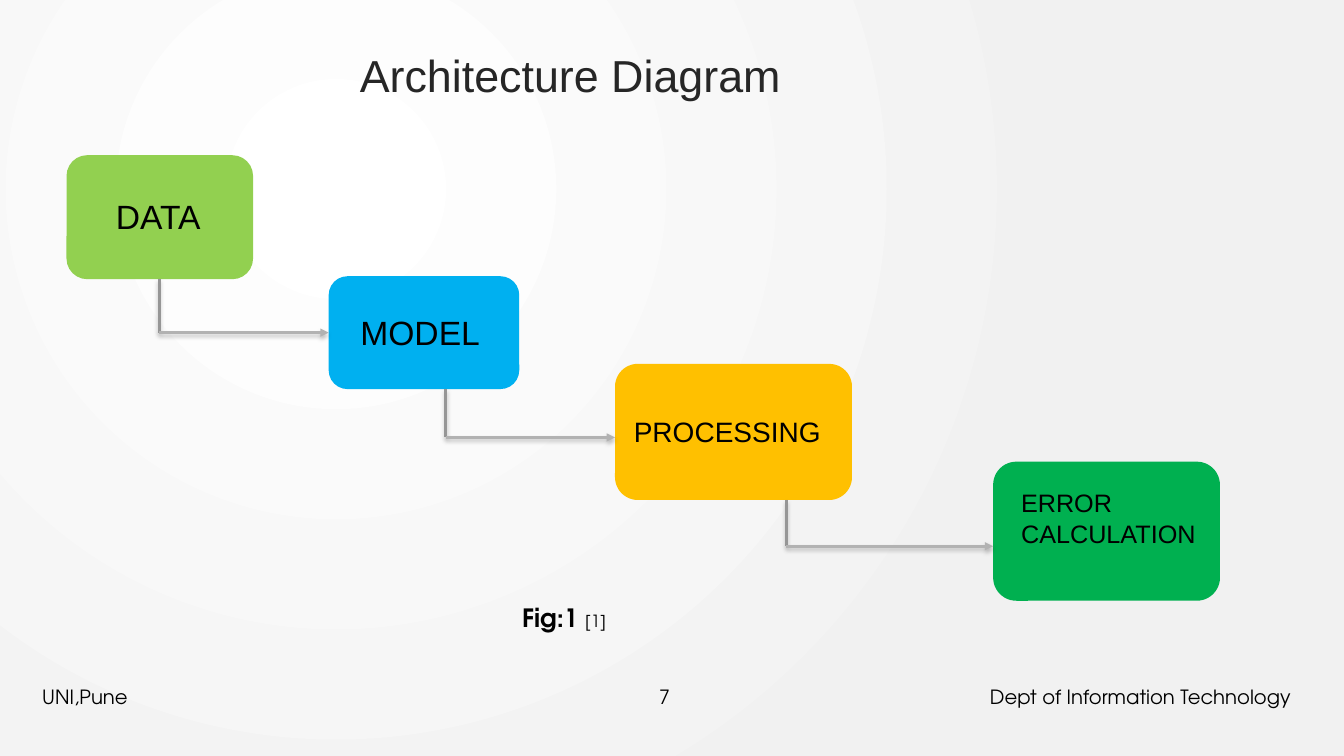
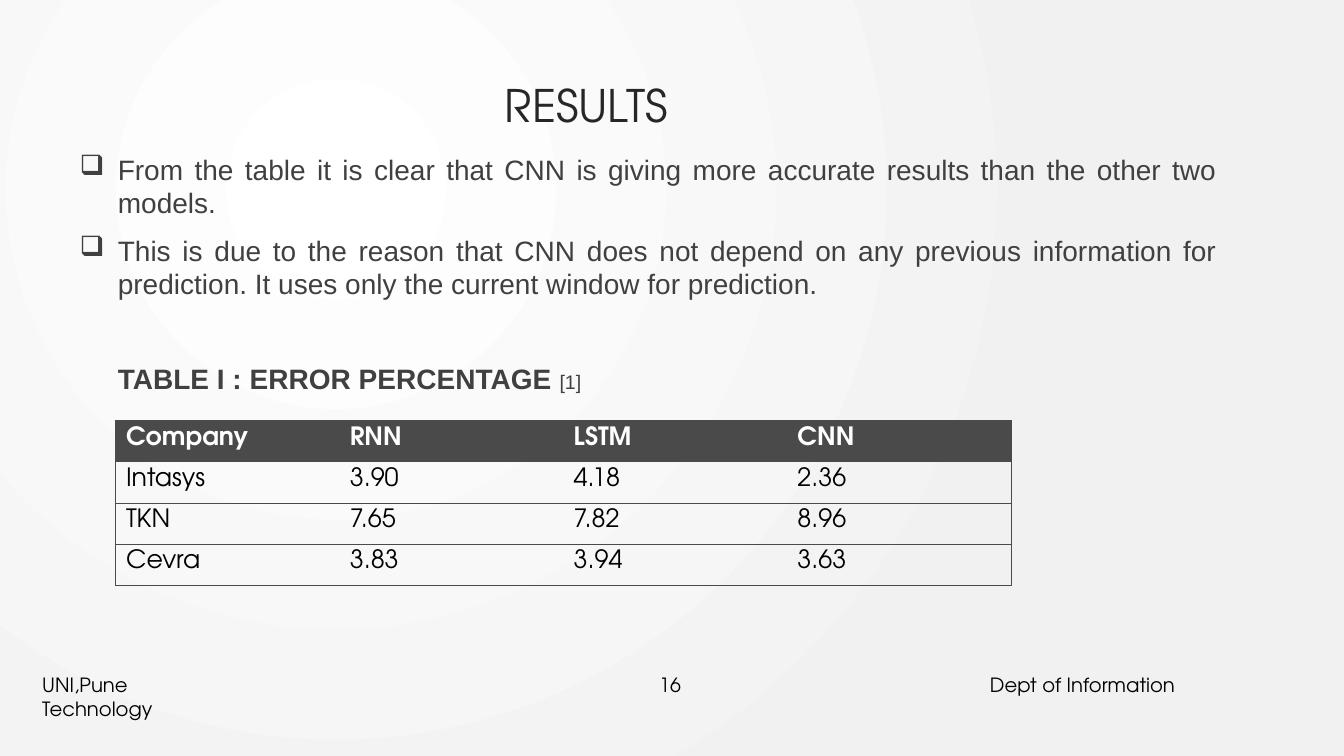
import pptx
import pptx.dml.color
import pptx.enum.shapes
import pptx.enum.text
import pptx.oxml
import pptx.oxml.ns
import pptx.util

Inches = pptx.util.Inches
Align = pptx.enum.text.PP_ALIGN
Anchor = pptx.enum.text.MSO_ANCHOR
Shape = pptx.enum.shapes.MSO_SHAPE


class Theme:
    sans = "Arial"
    round = "TeX Gyre Adventor"
    glow = ("FFFFFF", "F1F1F1")
    head = "262626"
    body = "404040"
    ink = "000000"
    white = "FFFFFF"
    grid = "4A4A4A"
    drop = "969696"
    reach = "B2B2B2"
    title = 32
    label = 24
    text = 20
    small = 18
    foot = 14
    cite = 12


STEPS = [
    (["DATA"], "92D050", (0.66, 1.54, 1.85, 1.23), (0.43, 0.34), Theme.label),
    (["MODEL"], "00B0F0", (3.26, 2.74, 1.89, 1.12), (0.26, 0.3), Theme.label),
    (["PROCESSING"], "FFC000", (6.1, 3.61, 2.35, 1.35), (0.12, 0.44), Theme.text),
    (["ERROR", "CALCULATION"], "00B050", (9.85, 4.58, 2.25, 1.38), (0.21, 0.19), Theme.small),
]
BENDS = [(1.58, 3.3), (4.42, 4.34), (7.8, 5.42)]
POINTS = [
    "From the table it is clear that CNN is giving more accurate results than the other two models.",
    "This is due to the reason that CNN does not depend on any previous information for prediction. "
    "It uses only the current window for prediction.",
]
ERRORS = [
    ("Company", "RNN", "LSTM", "CNN"),
    ("Intasys", "3.90", "4.18", "2.36"),
    ("TKN", "7.65", "7.82", "8.96"),
    ("Cevra", "3.83", "3.94", "3.63"),
]
TABS = (6.12, 9.4)


def rgb(tone):
    return pptx.dml.color.RGBColor.from_string(tone)


def node(xml):
    return pptx.oxml.parse_xml(xml.replace(">", " " + pptx.oxml.ns.nsdecls("a") + ">", 1))


def write(frame, lines, font=Theme.sans, size=Theme.text, color=Theme.ink, bold=False,
          align=Align.LEFT, before=0, space=None, cite=None, cite_size=Theme.cite):
    for i, line in enumerate(lines):
        para = frame.paragraphs[0] if i == 0 else frame.add_paragraph()
        para.alignment = align
        para.space_before = pptx.util.Pt(before)
        para.line_spacing = space
        parts = [(line, size, bold)]
        if cite:
            parts = [(line + " ", size, bold), (cite, cite_size, False)]
        for words, points, heavy in parts:
            run = para.add_run()
            run.text = words
            run.font.name = font
            run.font.size = pptx.util.Pt(points)
            run.font.bold = heavy
            run.font.color.rgb = rgb(color)


def text(slide, box, lines, anchor=Anchor.TOP, **form):
    frame = slide.shapes.add_textbox(*map(Inches, box)).text_frame
    frame.word_wrap = True
    frame.vertical_anchor = anchor
    write(frame, lines, **form)
    return frame


def page(title, box, font, foot):
    slide = deck.slides.add_slide(deck.slide_layouts[6])
    text(slide, box, [title], Anchor.MIDDLE, font=font, size=Theme.title,
         color=Theme.head, space=0.9)
    frame = text(slide, (0.32, 6.71, 12.64, 0.4), foot, Anchor.MIDDLE,
                 font=Theme.round, size=Theme.foot)
    stops = "".join(f'<a:tab pos="{Inches(x)}" algn="l"/>' for x in TABS)
    frame.paragraphs[0]._p.get_or_add_pPr().append(node(f"<a:tabLst>{stops}</a:tabLst>"))
    return slide


def line(slide, start, end, tone, arrow=False):
    link = slide.shapes.add_connector(pptx.enum.shapes.MSO_CONNECTOR.STRAIGHT,
                                      *map(Inches, start + end))
    link.line.color.rgb = rgb(tone)
    link.line.width = pptx.util.Pt(1.75)
    if arrow:
        link.line._get_or_add_ln().append(node('<a:tailEnd type="triangle"></a:tailEnd>'))
    link._element.spPr.append(node(
        '<a:effectLst><a:outerShdw blurRad="38100" dist="25400" dir="5400000" rotWithShape="0">'
        '<a:srgbClr val="000000"><a:alpha val="25000"/></a:srgbClr></a:outerShdw></a:effectLst>'))


def step(slide, lines, tone, box, inset, size):
    block = slide.shapes.add_shape(Shape.ROUNDED_RECTANGLE, *map(Inches, box))
    block.shadow.inherit = False
    block.fill.solid()
    block.fill.fore_color.rgb = rgb(tone)
    block.line.fill.background()
    frame = block.text_frame
    frame.word_wrap = True
    frame.vertical_anchor = Anchor.TOP
    frame.margin_left, frame.margin_top = map(Inches, inset)
    frame.margin_right = frame.margin_bottom = 0
    write(frame, lines, size=size)


def edge(cell, sides):
    props = cell._tc.get_or_add_tcPr()
    for side in "LRTB":
        fill = "<a:noFill/>"
        if side in sides:
            fill = f'<a:solidFill><a:srgbClr val="{Theme.grid}"/></a:solidFill>'
        props.append(node(f'<a:ln{side} w="9525">{fill}</a:ln{side}>'))


def table(slide, rows, spot, wide, high):
    count = len(rows[0])
    size = (wide * count, high * len(rows))
    grid = slide.shapes.add_table(len(rows), count, *map(Inches, spot + size)).table
    for r, row in enumerate(rows):
        grid.rows[r].height = Inches(high)
        for c, value in enumerate(row):
            cell = grid.cell(r, c)
            edge(cell, "TB" + "L" * (c == 0) + "R" * (c == count - 1))
            cell.margin_top = Inches(0.06)
            cell.margin_bottom = Inches(0.03)
            cell.vertical_anchor = Anchor.TOP
            if r == 0:
                cell.fill.solid()
                cell.fill.fore_color.rgb = rgb(Theme.grid)
            else:
                cell.fill.background()
            write(cell.text_frame, [value], font=Theme.round, size=Theme.small,
                  bold=r == 0, color=Theme.ink if r else Theme.white)


deck = pptx.Presentation()
deck.slide_width, deck.slide_height = Inches(13.33), Inches(7.5)
back = deck.slide_master.background.fill
back.gradient()
for stop, tone in zip(back.gradient_stops, Theme.glow):
    stop.color.rgb = rgb(tone)
slant = deck.slide_master.element.find(".//" + pptx.oxml.ns.qn("a:lin"))
slant.getparent().replace(slant, node(
    '<a:path path="circle"><a:fillToRect l="50000" t="50000" r="100000" b="100000"/></a:path>'))

plan = page("Architecture Diagram", (3.47, 0.42, 7.28, 0.71), Theme.sans,
            ["UNI,Pune\t7\tDept of Information Technology"])
for item in STEPS:
    step(plan, *item)
for (x, y), first, second in zip(BENDS, STEPS, STEPS[1:]):
    base = first[2][1] + first[2][3]
    line(plan, (x, base), (x, y), Theme.drop)
    line(plan, (x, y), (second[2][0], y), Theme.reach, arrow=True)
text(plan, (5.08, 5.93, 1.3, 0.4), ["Fig:1"], font=Theme.round, size=Theme.small,
     bold=True, cite="[1]")

found = page("RESULTS", (4.91, 0.69, 2.26, 0.76), Theme.round,
             ["UNI,Pune\t16\tDept of Information", "Technology"])
frame = text(found, (0.69, 1.46, 11.48, 1.7), POINTS, color=Theme.body,
             align=Align.JUSTIFY, before=10)
for para in frame.paragraphs:
    props = para._p.get_or_add_pPr()
    props.set("marL", str(Inches(0.38)))
    props.set("indent", str(Inches(-0.38)))
    props.append(node('<a:buChar char="\u2751"></a:buChar>'))
text(found, (1.07, 3.54, 6, 0.42), ["TABLE I : ERROR PERCENTAGE"], color=Theme.body,
     bold=True, cite="[1]", cite_size=Theme.foot)
table(found, ERRORS, (1.15, 4.17), 2.22, 0.41)

deck.save("out.pptx")
